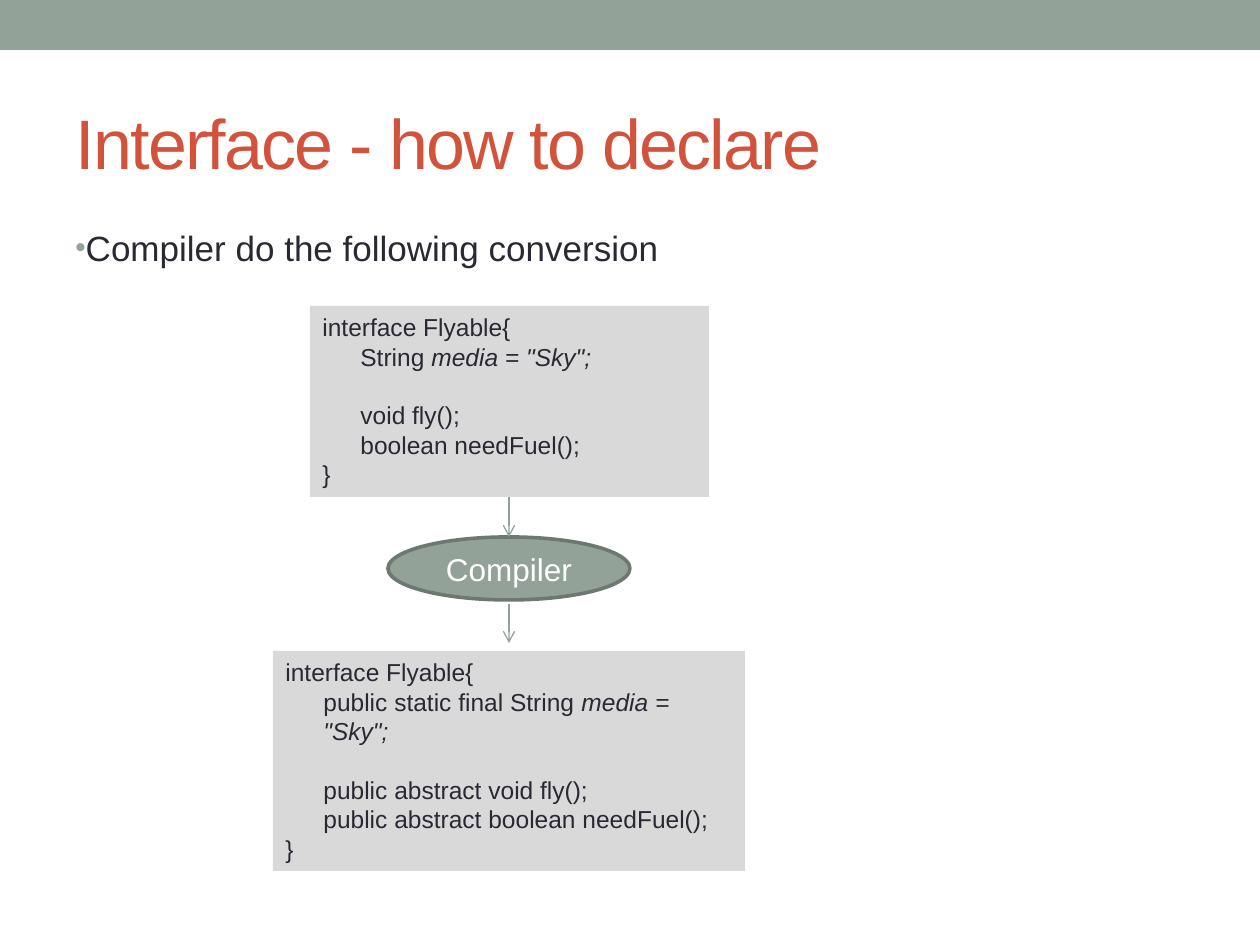
from lxml.etree import SubElement
from pptx import Presentation
from pptx.dml.color import RGBColor
from pptx.enum.shapes import MSO_CONNECTOR as Connector, MSO_SHAPE as Shape
from pptx.enum.text import MSO_ANCHOR as Anchor, MSO_AUTO_SIZE as AutoSize, PP_ALIGN as Align
from pptx.oxml.ns import qn
from pptx.util import Emu, Pt

PX = 914400 // 126
SAGE, SAGE_DARK, GRAY = "93A299", "6D7871", "D9D9D9"
RED, INK, WHITE = "D2533C", "292934", "FFFFFF"
CODE_LINE = Pt(16.8)
CENTER_X = 509


def px(*lengths):
    return [Emu(length * PX) for length in lengths]


def color(hex_code):
    return RGBColor.from_string(hex_code)


def add_text(paragraph, text, size=14, fill=INK, italic=False, spacing=None):
    run = paragraph.add_run()
    run.text = text
    run.font.name = "Arial"
    run.font.size = Pt(size)
    run.font.italic = italic
    run.font.color.rgb = color(fill)
    if spacing is not None:
        run.font._element.set("spc", str(spacing))


def add_block(slide, kind, box, fill, outline=None):
    block = slide.shapes.add_shape(kind, *px(*box))
    block.shadow.inherit = False
    block.fill.solid()
    block.fill.fore_color.rgb = color(fill)
    if outline:
        block.line.color.rgb = color(outline)
        block.line.width = Pt(2.08)
    else:
        block.line.fill.background()
    return block


def add_title(slide, text):
    title = slide.shapes.title
    title.left, title.top, title.width, title.height = px(63, 73, 1134, 136)
    frame = title.text_frame
    frame.auto_size = AutoSize.NONE
    frame.vertical_anchor = Anchor.MIDDLE
    frame.paragraphs[0].alignment = Align.LEFT
    add_text(frame.paragraphs[0], text, size=40, fill=RED, spacing=-100)


def add_bullet(slide, text):
    frame = slide.shapes.add_textbox(*px(63, 220, 1134, 672)).text_frame
    frame.word_wrap = True
    paragraph = frame.paragraphs[0]
    properties = paragraph._p.get_or_add_pPr()
    bullet_color = SubElement(properties, qn("a:buClr"))
    SubElement(bullet_color, qn("a:srgbClr"), val=SAGE)
    SubElement(properties, qn("a:buSzPct"), val="85000")
    SubElement(properties, qn("a:buFont"), typeface="Arial")
    SubElement(properties, qn("a:buChar"), char="•")
    add_text(paragraph, text, size=20)


def add_code(slide, box, field, methods):
    """Show an interface: one field, a gap, then its methods."""
    frame = add_block(slide, Shape.RECTANGLE, box, GRAY).text_frame
    frame.word_wrap = True
    frame.vertical_anchor = Anchor.TOP

    def add_line(paragraph, text, indented=False):
        paragraph.alignment = Align.LEFT
        paragraph.line_spacing = CODE_LINE
        if indented:
            paragraph._p.get_or_add_pPr().set("marL", str(38 * PX))
        add_text(paragraph, text)
        return paragraph

    add_line(frame.paragraphs[0], "interface Flyable{")
    declaration = add_line(frame.add_paragraph(), field, indented=True)
    add_text(declaration, 'media = "Sky";', italic=True)
    for index, method in enumerate(methods):
        line = add_line(frame.add_paragraph(), method, indented=True)
        if index == 0:
            line.space_before = CODE_LINE
    add_line(frame.add_paragraph(), "}")


def add_arrow(slide, top, bottom):
    arrow = slide.shapes.add_connector(
        Connector.STRAIGHT, *px(CENTER_X, top, CENTER_X, bottom))
    arrow.line.color.rgb = color(SAGE)
    arrow.line.width = Pt(0.75)
    SubElement(arrow.line._get_or_add_ln(), qn("a:tailEnd"), type="arrow")
    SubElement(arrow._element.spPr, qn("a:effectLst"))


def main():
    deck = Presentation()
    deck.slide_width, deck.slide_height = px(1260, 945)
    slide = deck.slides.add_slide(deck.slide_layouts[5])

    # Header
    add_block(slide, Shape.RECTANGLE, (0, 0, 1260, 50), SAGE)
    add_title(slide, "Interface - how to declare")
    add_bullet(slide, "Compiler do the following conversion")

    # Code before and after compiling
    methods = ["void fly();", "boolean needFuel();"]
    add_code(slide, (310, 306, 399, 191), "String ", methods)
    add_code(slide, (273, 651, 472, 220), "public static final String ",
             [f"public abstract {method}" for method in methods])

    # Compiler step
    compiler = add_block(slide, Shape.OVAL, (388, 537, 242, 63), SAGE, SAGE_DARK)
    compiler.text_frame.vertical_anchor = Anchor.MIDDLE
    label = compiler.text_frame.paragraphs[0]
    label.alignment = Align.CENTER
    add_text(label, "Compiler", size=18, fill=WHITE)
    add_arrow(slide, 497, 537)
    add_arrow(slide, 604, 643)

    deck.save("out.pptx")


if __name__ == "__main__":
    main()
